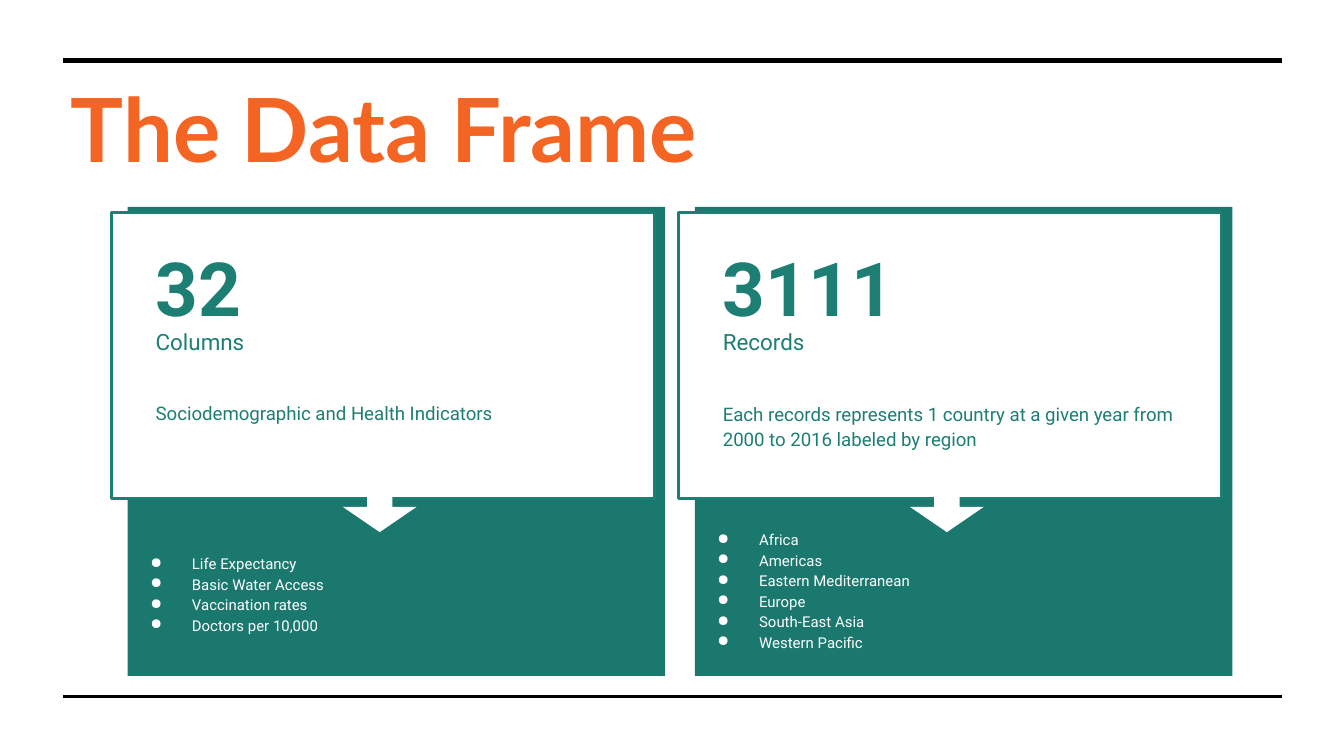
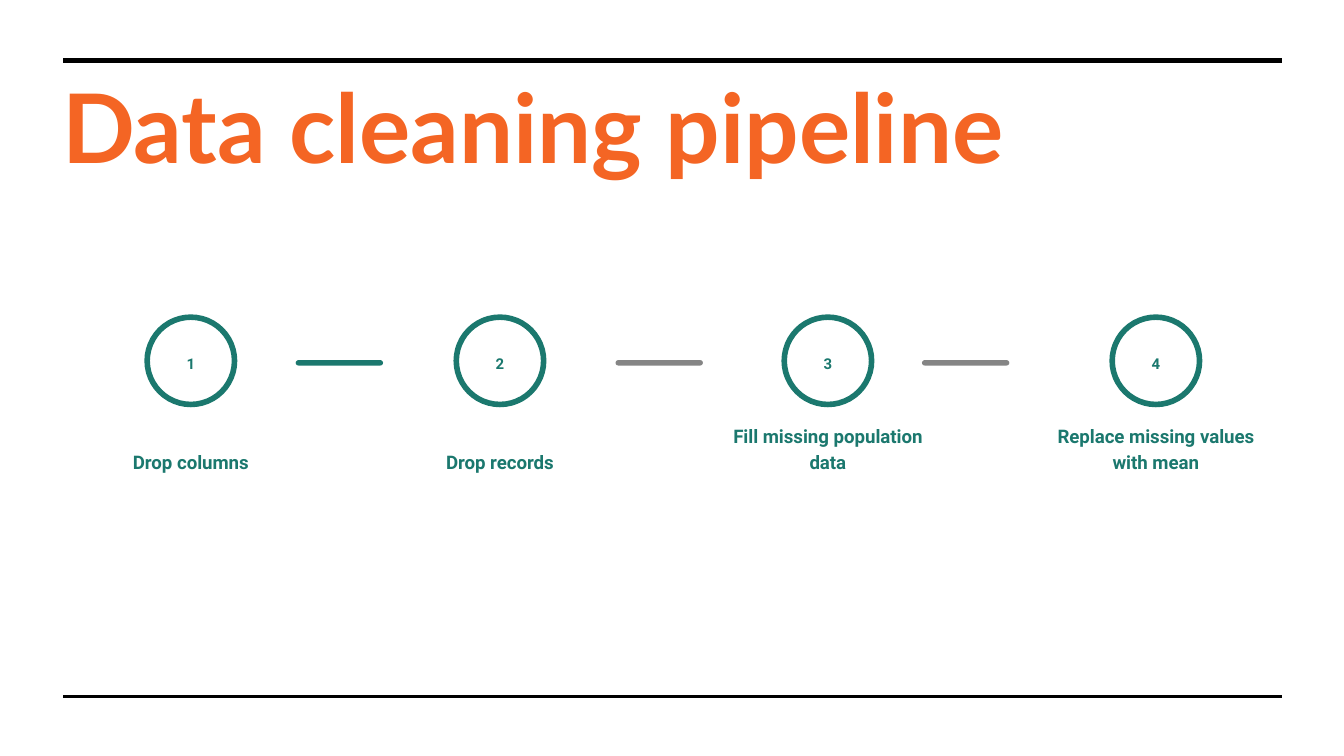
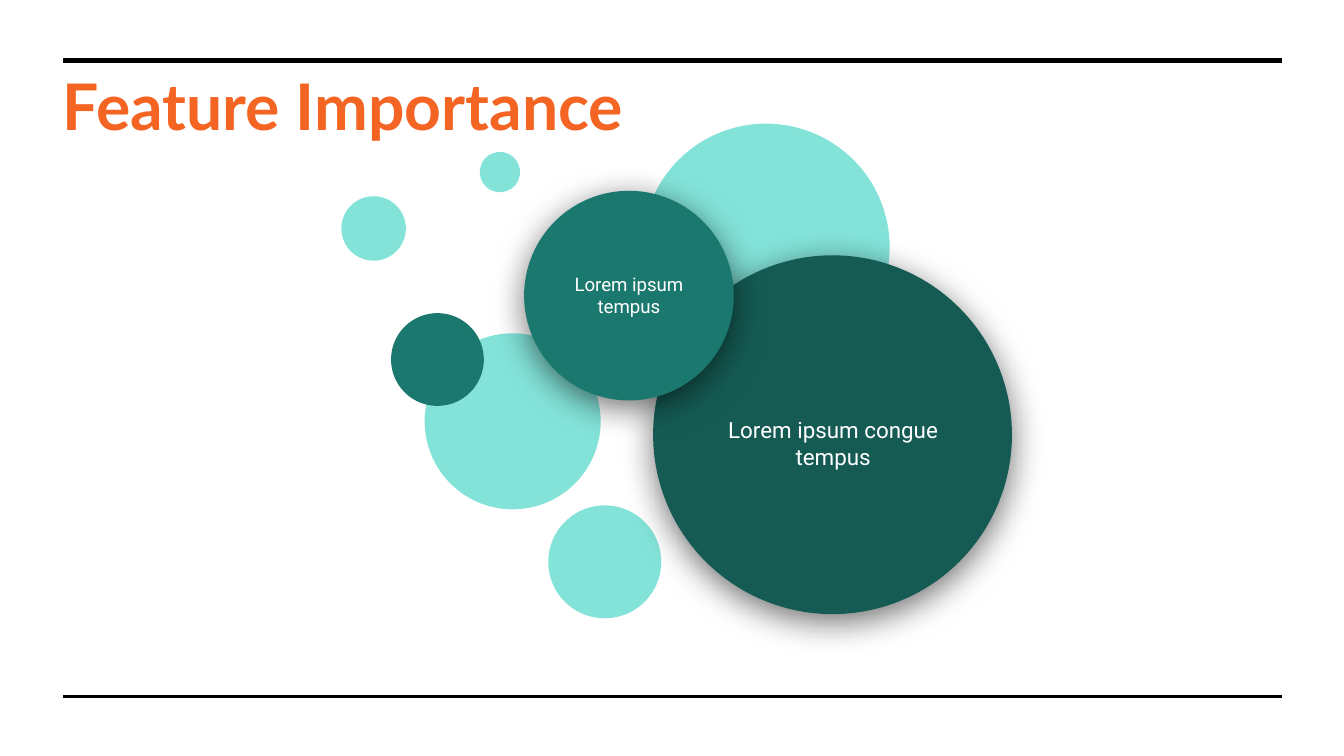
"""Build three slides on a health data set: its frame, its cleaning and its features."""
from lxml import etree
from pptx import Presentation
from pptx.dml.color import RGBColor
from pptx.enum.shapes import MSO_CONNECTOR, MSO_SHAPE
from pptx.enum.text import MSO_ANCHOR, PP_ALIGN
from pptx.oxml import parse_xml
from pptx.oxml.ns import nsdecls, qn
from pptx.util import Inches, Pt

RECTANGLE, ELLIPSE = MSO_SHAPE.RECTANGLE, MSO_SHAPE.OVAL
ROUNDED, ARROW = MSO_SHAPE.ROUNDED_RECTANGLE, MSO_SHAPE.RIGHT_ARROW
STRAIGHT = MSO_CONNECTOR.STRAIGHT
TOP, MIDDLE, BOTTOM = MSO_ANCHOR.TOP, MSO_ANCHOR.MIDDLE, MSO_ANCHOR.BOTTOM
LEFT, CENTER = PP_ALIGN.LEFT, PP_ALIGN.CENTER

ORANGE, BLACK, WHITE, GREY = "F46524", "000000", "FFFFFF", "858585"
TEAL, CARD_TEAL, DARK_TEAL, MINT = "1B786E", "1D7E74", "155B54", "83E3D9"
MARGIN_LEFT, MARGIN_RIGHT = 0.47, 9.54
RULES = [(5.18, 1.5), (0.45, 3)]


def add_shape(slide, kind, box, fill=None, line=None, width=0):
    shape = slide.shapes.add_shape(kind, *map(Inches, box))
    shape.shadow.inherit = False
    if fill:
        shape.fill.solid()
        shape.fill.fore_color.rgb = RGBColor.from_string(fill)
    else:
        shape.fill.background()
    if line:
        shape.line.color.rgb = RGBColor.from_string(line)
        shape.line.width = Pt(width)
    else:
        shape.line.fill.background()
    return shape


def add_text(slide, box, text, size, colour, bold=False, font="Roboto",
             align=LEFT, anchor=TOP, spacing=None):
    text_frame = slide.shapes.add_textbox(*map(Inches, box)).text_frame
    text_frame.word_wrap = True
    text_frame.vertical_anchor = anchor
    text_frame.margin_left = text_frame.margin_right = Inches(0.1)
    text_frame.margin_top = text_frame.margin_bottom = Inches(0.1)
    text_frame.text = text
    for paragraph in text_frame.paragraphs:
        paragraph.alignment = align
        paragraph.line_spacing = spacing
        for run in paragraph.runs:
            run.font.name = font
            run.font.size = Pt(size)
            run.font.bold = bold
            run.font.color.rgb = RGBColor.from_string(colour)
    return text_frame


presentation = Presentation()
presentation.slide_width, presentation.slide_height = Inches(10), Inches(5.625)
blank_layout = presentation.slide_layouts[6]

titles = [
    ("The Data Frame", (0.43, 0.36, 8.27, 1.17), 47.4, LEFT),
    ("Data cleaning pipeline", (-0.1, 0.09, 8.13, 1.68), 51.4, CENTER),
    ("Feature Importance", (0.37, -0.06, 8.13, 1.68), 34.4, LEFT),
]
slides = []
for title, box, size, align in titles:
    slide = presentation.slides.add_slide(blank_layout)
    for y, width in RULES:
        rule = slide.shapes.add_connector(
            STRAIGHT, Inches(MARGIN_LEFT), Inches(y), Inches(MARGIN_RIGHT), Inches(y))
        rule.line.color.rgb = RGBColor.from_string(BLACK)
        rule.line.width = Pt(width)
        etree.SubElement(rule._element.spPr, qn("a:effectLst"))
    add_text(slide, box, title, size, ORANGE, True, "Lato", align, MIDDLE)
    slides.append(slide)
frame_slide, pipeline_slide, feature_slide = slides

CARD_LEFT, CARD_STEP = 0.83, 4.22
cards = [
    ("32", "Columns", "Sociodemographic and Health Indicators", 4.01,
     ["Life Expectancy", "Basic Water Access", "Vaccination rates", "Doctors per 10,000"]),
    ("3111", "Records",
     "Each records represents 1 country at a given year from 2000 to 2016 labeled by region", 3.83,
     ["Africa", "Americas", "Eastern Mediterranean", "Europe", "South-East Asia",
      "Western Pacific"]),
]
for column, (number, unit, description, list_top, items) in enumerate(cards):
    left = CARD_LEFT + column * CARD_STEP
    text_left = left + 0.23
    add_shape(frame_slide, RECTANGLE, (left + 0.12, 1.54, 4, 3.49), TEAL)
    add_shape(frame_slide, RECTANGLE, (left, 1.58, 4.04, 2.13), WHITE, CARD_TEAL, 1.5)
    add_text(frame_slide, (text_left, 2.34, 3.58, 0.52), unit, 12, CARD_TEAL)
    add_text(frame_slide, (text_left, 2.87, 3.58, 0.71), description, 10, CARD_TEAL, spacing=1.15)
    add_text(frame_slide, (text_left, 1.7, 3.58, 0.58), number, 40, CARD_TEAL, True)
    arrow = add_shape(frame_slide, ARROW, (left + 1.83, 3.52, 0.33, 0.55), WHITE)
    arrow.rotation = 90
    arrow.adjustments[0], arrow.adjustments[1] = 0.342, 0.57
    item_list = add_text(frame_slide, (left, list_top, 4, 4.94 - list_top), "\n".join(items),
                         8, WHITE, spacing=1.15)
    for paragraph in item_list.paragraphs:
        properties = paragraph._p.get_or_add_pPr()
        properties.set("marL", str(Inches(0.5)))
        properties.set("indent", str(Inches(-0.31)))
        bullet_colour = etree.SubElement(properties, qn("a:buClr"))
        etree.SubElement(bullet_colour, qn("a:srgbClr"), val=WHITE)
        etree.SubElement(properties, qn("a:buChar"), char="●")

STEP_WIDTH, CIRCLE, NUMBER_WIDTH = 1.87, 0.65, 0.48
steps = [(1.42, "Drop columns"), (3.72, "Drop records"),
         (6.16, "Fill missing population data"), (8.6, "Replace missing values with mean")]
for number, (center, label) in enumerate(steps, start=1):
    add_shape(pipeline_slide, ELLIPSE, (center - CIRCLE / 2, 2.36, CIRCLE, CIRCLE), None, TEAL, 3)
    number_text = add_text(pipeline_slide, (center - NUMBER_WIDTH / 2, 2.54, NUMBER_WIDTH, 0.35),
                           str(number), 8, TEAL, True, align=CENTER, spacing=1.15)
    number_text.paragraphs[0].space_after = Pt(16)
    add_text(pipeline_slide, (center - STEP_WIDTH / 2, 3.13, STEP_WIDTH, 0.49), label,
             10, TEAL, True, align=CENTER, anchor=BOTTOM, spacing=1.15)
for left, colour in [(2.2, TEAL), (4.58, GREY), (6.86, GREY)]:
    link = add_shape(pipeline_slide, ROUNDED, (left, 2.68, 0.65, 0.04), colour)
    link.adjustments[0] = 0.5

bubbles = [(4.08, 3.76, 0.84, MINT), (2.54, 1.46, 0.48, MINT), (3.16, 2.48, 1.31, MINT),
           (4.78, 0.92, 1.84, MINT), (2.91, 2.33, 0.69, TEAL), (3.57, 1.13, 0.3, MINT)]
for left, top, diameter, colour in bubbles:
    bubble = add_shape(feature_slide, ELLIPSE, (left, top, diameter, diameter), colour)
    bubble.rotation = 250

features = [
    ((4.86, 1.9, 2.67, 2.67), DARK_TEAL, (5.18, 2.66, 2.04, 1.27), "Lorem ipsum congue tempus", 12),
    ((3.9, 1.42, 1.56, 1.56), TEAL, (4.15, 1.68, 1.06, 1.03), "Lorem ipsum tempus", 10),
]
for circle_box, colour, text_box, label, size in features:
    circle = add_shape(feature_slide, ELLIPSE, circle_box, colour)
    effects = circle._element.spPr.find(qn("a:effectLst"))
    effects.append(parse_xml(
        f'<a:outerShdw {nsdecls("a")} blurRad="{Pt(18)}" dist="{Pt(4)}" dir="5400000" '
        f'algn="bl" rotWithShape="0"><a:srgbClr val="{BLACK}"><a:alpha val="55000"/>'
        '</a:srgbClr></a:outerShdw>'))
    add_text(feature_slide, text_box, label, size, WHITE, align=CENTER, anchor=MIDDLE)

presentation.save("out.pptx")
